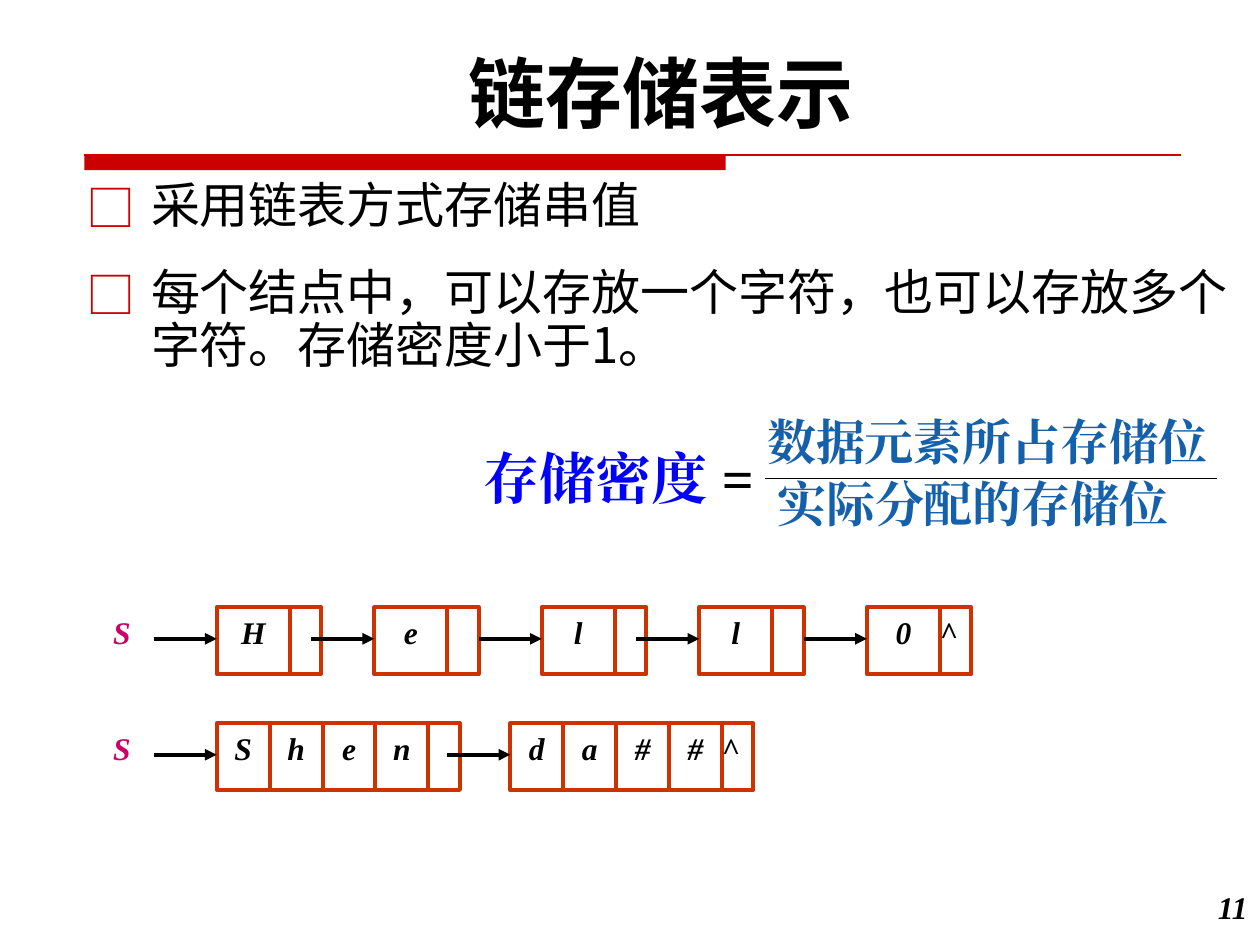
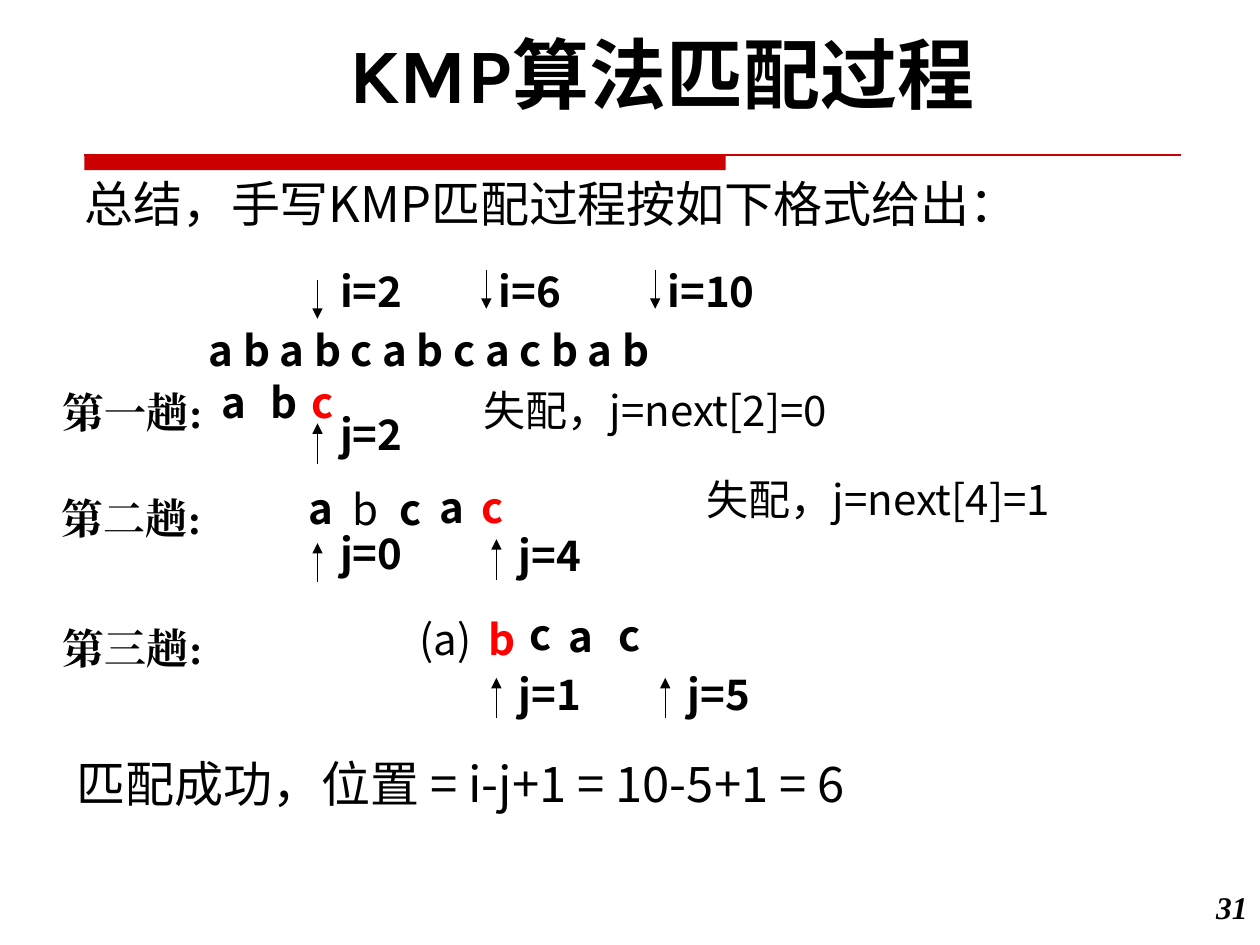
import pptx
import pptx.dml.color
import pptx.enum.shapes
import pptx.enum.text
import pptx.oxml
import pptx.oxml.ns
import pptx.util

Inches = pptx.util.Inches
Pt = pptx.util.Pt
ALIGN = pptx.enum.text.PP_ALIGN
SHAPES = pptx.enum.shapes.MSO_SHAPE

COLORS = {"ink": "000000", "band": "CC0000", "cell": "CC3300", "head": "CC0066",
          "term": "0000FF", "fraction": "1560AB", "mismatch": "FF0000"}
SANS, SERIF, DISPLAY = "Noto Sans CJK SC", "Times New Roman", "Karla"

TITLE_STYLE = dict(size=44, name=DISPLAY, bold=True)
NODE_STYLE = dict(size=18, name=SERIF, bold=True, italic=True)
BODY_STYLE = dict(size=28, name=SANS, bold=False)
MATCH_STYLE = dict(size=24, name=SANS, bold=True)
PLAIN_STYLE = dict(MATCH_STYLE, bold=False)
PASS_STYLE = dict(MATCH_STYLE, name=SERIF)
TERM_STYLE = dict(size=32, name=SERIF, bold=True)
FRACTION_STYLE = dict(TERM_STYLE, size=28, color="fraction")

# Linked storage
STORAGE_POINTS = ["采用链表方式存储串值",
                  "每个结点中，可以存放一个字符，也可以存放多个字符。存储密度小于1。"]
DENSITY_FRACTION = [("数据元素所占存储位", 5.99, 3.22, 3.75),
                    ("实际分配的存储位", 6.07, 3.71, 3.36)]
# Each list: top, width of a character cell, nodes as (left, characters)
LINKED_LISTS = [
    (4.82, 0.58, [(1.72, "H"), (2.97, "e"), (4.3, "l"), (5.55, "l"), (6.88, "0")]),
    (5.74, 0.42, [(1.72, "Shen"), (4.05, "da##")]),
]
POINTER_WIDTH, CELL_HEIGHT, LINK_LENGTH = 0.25, 0.53, 0.5

# KMP matching
STATEMENTS = [("总结，手写KMP匹配过程按如下格式给出：", 0.57, 1.33, 9.25),
              ("匹配成功，位置 = i-j+1 = 10-5+1 = 6", 0.51, 5.93, 7.51)]
PASSES = [("第一趟:", 0.4, 3.02), ("第二趟:", 0.39, 3.86), ("第三趟:", 0.4, 4.89)]
PATTERN_LETTERS = [
    ("a", 1.66, 2.94), ("b", 2.05, 2.94), ("c", 2.37, 2.94),
    ("a", 2.35, 3.78), ("b", 2.7, 3.79), ("c", 3.07, 3.79), ("a", 3.39, 3.77),
    ("c", 3.72, 3.77),
    ("b", 3.78, 4.82), ("c", 4.1, 4.78), ("a", 4.41, 4.8), ("c", 4.81, 4.79),
]
MISMATCHED = {2, 7, 8}
REGULAR_LETTERS = {4}
PLAIN_NOTES = [("(a)", 3.23, 4.82, 0.71), ("失配，j=next[2]=0", 3.74, 3, 3.32),
               ("失配，j=next[4]=1", 5.51, 3.71, 3.32)]
# Index marks: label, label left and top, arrow x, arrow start and end
INDEX_MARKS = [
    ("i=2", 2.6, 2.06, 2.52, 2.22, 2.53), ("i=6", 3.86, 2.06, 3.86, 2.14, 2.45),
    ("i=10", 5.2, 2.06, 5.2, 2.14, 2.45), ("j=2", 2.6, 3.19, 2.52, 3.68, 3.36),
    ("j=0", 2.6, 4.14, 2.52, 4.62, 4.31), ("j=4", 4.02, 4.15, 3.94, 4.6, 4.28),
    ("j=1", 4.02, 5.26, 3.94, 5.7, 5.38), ("j=5", 5.36, 5.26, 5.28, 5.7, 5.38),
]


def rgb(color):
    return pptx.dml.color.RGBColor.from_string(COLORS[color])


def add_run(paragraph, text, size, color="ink", **font_values):
    run = paragraph.add_run()
    run.text = text
    run.font.size = Pt(size)
    run.font.color.rgb = rgb(color)
    for attribute, value in font_values.items():
        setattr(run.font, attribute, value)
    east_asian = pptx.oxml.parse_xml(
        f'<a:ea {pptx.oxml.ns.nsdecls("a")} typeface="{font_values["name"]}"/>')
    run.font._element.find(pptx.oxml.ns.qn("a:latin")).addnext(east_asian)


def write(slide, text, left, top, width, height, style, align=ALIGN.LEFT, wrap=True):
    box = slide.shapes.add_textbox(*map(Inches, (left, top, width, height)))
    box.text_frame.word_wrap = wrap
    paragraph = box.text_frame.paragraphs[0]
    paragraph.alignment = align
    add_run(paragraph, text, **style)
    return box.text_frame


def add_line(slide, x1, y1, x2, y2, width=0.75, color="ink", arrow=False):
    line = slide.shapes.add_connector(pptx.enum.shapes.MSO_CONNECTOR.STRAIGHT,
                                      *map(Inches, (x1, y1, x2, y2)))
    line.line.color.rgb = rgb(color)
    line.line.width = Pt(width)
    namespace = pptx.oxml.ns.nsdecls("a")
    if arrow:
        line.line._get_or_add_ln().append(
            pptx.oxml.parse_xml(f'<a:tailEnd {namespace} type="triangle"/>'))
    line._element.spPr.append(pptx.oxml.parse_xml(f"<a:effectLst {namespace}/>"))


def add_rectangle(slide, left, top, width, height):
    rectangle = slide.shapes.add_shape(SHAPES.RECTANGLE,
                                       *map(Inches, (left, top, width, height)))
    rectangle.shadow.inherit = False
    return rectangle


def start_slide(deck, title, title_left, title_top, number):
    """Add a slide with its title, red band and page number."""
    slide = deck.slides.add_slide(deck.slide_layouts[5])
    heading = slide.shapes.title
    place = dict(left=title_left, top=title_top, width=9.25, height=0.84)
    for attribute, value in place.items():
        setattr(heading, attribute, Inches(value))
    frame = heading.text_frame
    frame.vertical_anchor = pptx.enum.text.MSO_ANCHOR.TOP
    frame.auto_size = pptx.enum.text.MSO_AUTO_SIZE.NONE
    frame.paragraphs[0].alignment = ALIGN.CENTER
    add_run(frame.paragraphs[0], title, **TITLE_STYLE)

    band = add_rectangle(slide, 0.67, 1.23, 5.09, 0.12)
    band.fill.solid()
    band.fill.fore_color.rgb = rgb("band")
    band.line.fill.background()
    add_line(slide, 0.67, 1.23, 9.37, 1.23, color="band")
    write(slide, number, 9.33, 7, 0.67, 0.5, NODE_STYLE, ALIGN.RIGHT)
    return slide


def add_bullets(slide, points):
    box = slide.shapes.add_textbox(*map(Inches, (0.59, 1.39, 9.58, 4.42)))
    frame = box.text_frame
    frame.word_wrap = True
    for index, point in enumerate(points):
        paragraph = frame.add_paragraph() if index else frame.paragraphs[0]
        paragraph.line_spacing = 0.9
        paragraph.space_before = Pt(19.6 if index else 0)
        properties = paragraph._p.get_or_add_pPr()
        properties.set("marL", str(Inches(0.51)))
        properties.set("indent", str(-Inches(0.51)))
        namespace = pptx.oxml.ns.nsdecls("a")
        for bullet in (f'<a:buClr {namespace}><a:srgbClr val="{COLORS["band"]}"/></a:buClr>',
                       f'<a:buFont {namespace} typeface="{SANS}"/>',
                       f'<a:buChar {namespace} char="□"/>'):
            properties.append(pptx.oxml.parse_xml(bullet))
        add_run(paragraph, point, **BODY_STYLE)


def add_cell(slide, left, top, width, text="", is_pointer=False):
    cell = add_rectangle(slide, left, top, width, CELL_HEIGHT)
    cell.fill.background()
    cell.line.color.rgb = rgb("cell")
    cell.line.width = Pt(2.25)
    frame = cell.text_frame
    frame.vertical_anchor = pptx.enum.text.MSO_ANCHOR.TOP
    if is_pointer:
        frame.margin_left = frame.margin_right = 0
    if text:
        paragraph = frame.paragraphs[0]
        paragraph.alignment = ALIGN.LEFT if is_pointer else ALIGN.CENTER
        add_run(paragraph, text, **NODE_STYLE)


def add_linked_list(slide, top, cell_width, nodes):
    write(slide, "S", 0.8, top, 0.5, 0.5, dict(NODE_STYLE, color="head"))
    for left, characters in nodes:
        for index, character in enumerate(characters):
            add_cell(slide, left + index * cell_width, top, cell_width, character)
        end_mark = "^" if left == nodes[-1][0] else ""
        add_cell(slide, left + len(characters) * cell_width, top, POINTER_WIDTH,
                 end_mark, is_pointer=True)
    for left, _ in nodes:
        add_line(slide, left - LINK_LENGTH, top + 0.25, left, top + 0.25, 2.25, arrow=True)


def build_linked_storage(deck):
    slide = start_slide(deck, "链存储表示", 0.62, 0.31, "11")
    add_bullets(slide, STORAGE_POINTS)
    for linked_list in LINKED_LISTS:
        add_linked_list(slide, *linked_list)
    density = write(slide, "存储密度", 3.74, 3.47, 2.48, 0.64,
                    dict(TERM_STYLE, color="term"), wrap=False)
    add_run(density.paragraphs[0], " =", **TERM_STYLE)
    add_line(slide, 6.07, 3.8, 9.66, 3.8)
    for text, left, top, width in DENSITY_FRACTION:
        write(slide, text, left, top, width, 0.57, FRACTION_STYLE, wrap=False)


def build_kmp_matching(deck):
    slide = start_slide(deck, "KMP算法匹配过程", 0.63, 0.16, "31")
    main_string = write(slide, "a b a b c a b c a c b a b", 1.56, 2.57, 8.4, 0.86,
                        MATCH_STYLE)
    main_string.paragraphs[0].line_spacing = 0.9
    for text, left, top, width in STATEMENTS:
        write(slide, text, left, top, width, 0.57, BODY_STYLE)
    for text, left, top in PASSES:
        write(slide, text, left, top, 1.37, 0.5, PASS_STYLE)
    for index, (letter, left, top) in enumerate(PATTERN_LETTERS):
        style = dict(MATCH_STYLE, bold=index not in REGULAR_LETTERS,
                     color="mismatch" if index in MISMATCHED else "ink")
        write(slide, letter, left, top, 0.55, 0.5, style)
    for text, left, top, width in PLAIN_NOTES:
        write(slide, text, left, top, width, 0.5, PLAIN_STYLE)
    for label, left, top, arrow_x, start, end in INDEX_MARKS:
        write(slide, label, left, top, 1.19, 0.5, MATCH_STYLE)
        add_line(slide, arrow_x, start, arrow_x, end, arrow=True)


def main():
    deck = pptx.Presentation()
    deck.slide_width, deck.slide_height = Inches(10), Inches(7.5)
    build_linked_storage(deck)
    build_kmp_matching(deck)
    deck.save("out.pptx")


if __name__ == "__main__":
    main()
